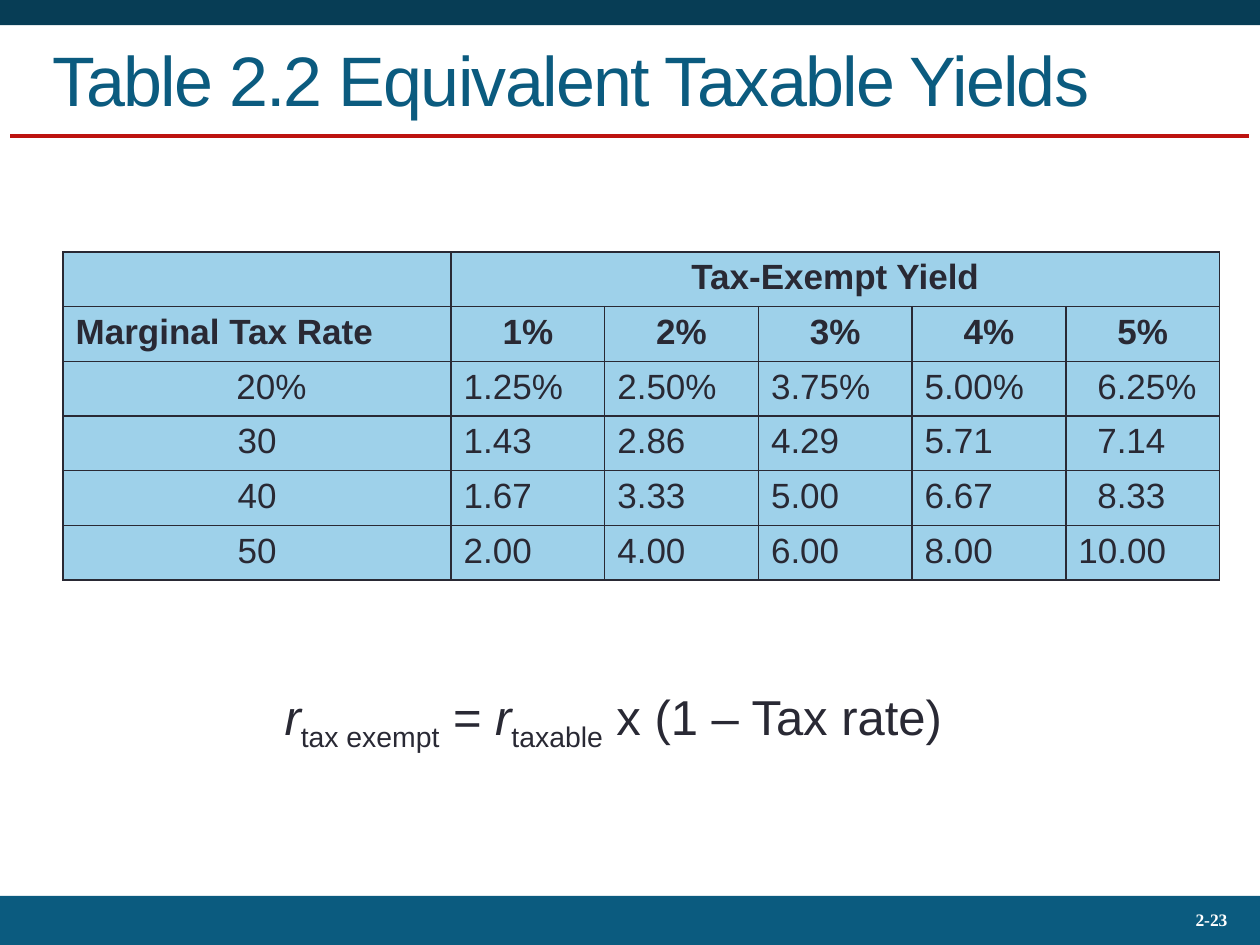
from pptx import Presentation
from pptx.dml.color import RGBColor
from pptx.enum.shapes import MSO_CONNECTOR, MSO_SHAPE
from pptx.enum.text import MSO_ANCHOR, PP_ALIGN
from pptx.oxml import parse_xml
from pptx.oxml.ns import nsdecls
from pptx.util import Inches, Pt

NAVY = RGBColor(0x07, 0x3D, 0x55)
TEAL = RGBColor(0x0B, 0x5B, 0x7F)
RED = RGBColor(0xBD, 0x13, 0x0F)
INK = RGBColor(0x29, 0x29, 0x34)
SKY = RGBColor(0x9E, 0xD1, 0xEA)
WHITE = RGBColor(0xFF, 0xFF, 0xFF)

YIELD_RATES = ["1%", "2%", "3%", "4%", "5%"]
TAXABLE_YIELDS = {
    "20%": ["1.25%", "2.50%", "3.75%", "5.00%", "6.25%"],
    "30": ["1.43", "2.86", "4.29", "5.71", "7.14"],
    "40": ["1.67", "3.33", "5.00", "6.67", "8.33"],
    "50": ["2.00", "4.00", "6.00", "8.00", "10.00"],
}
FORMULA = [("r", "italic"), ("tax exempt", "sub"), (" = ", ""),
           ("r", "italic"), ("taxable", "sub"), (" x (1 – Tax rate)", "")]
DIGIT_INDENT = 0.15  # width of one 20 pt digit in inches
PERCENT_INDENT = 0.23  # width of one 20 pt percent sign, roughly


class SlideBuilder:
    font = "Arial"

    def __init__(self, slide):
        self.slide = slide

    def style(self, paragraph, size, color, bold=False, font=None):
        paragraph.font.name = font or self.font
        paragraph.font.size = Pt(size)
        paragraph.font.bold = bold
        paragraph.font.color.rgb = color

    def band(self, top, height, color):
        band = self.slide.shapes.add_shape(
            MSO_SHAPE.RECTANGLE, 0, Inches(top), Inches(10), Inches(height))
        band.shadow.inherit = False
        band.fill.solid()
        band.fill.fore_color.rgb = color
        band.line.fill.background()

    def rule(self, left, right, y, color, width):
        rule = self.slide.shapes.add_connector(
            MSO_CONNECTOR.STRAIGHT, Inches(left), Inches(y), Inches(right), Inches(y))
        rule.line.color.rgb = color
        rule.line.width = Pt(width)
        rule._element.spPr.append(parse_xml(f"<a:effectLst {nsdecls('a')}/>"))

    def title(self, text, left, top, width, height):
        title = self.slide.shapes.title
        title.left, title.top = Inches(left), Inches(top)
        title.width, title.height = Inches(width), Inches(height)
        frame = title.text_frame
        frame.text = text
        frame.vertical_anchor = MSO_ANCHOR.MIDDLE
        paragraph = frame.paragraphs[0]
        paragraph.alignment = PP_ALIGN.LEFT
        self.style(paragraph, 40, TEAL)
        paragraph.runs[0]._r.get_or_add_rPr().set("spc", "-100")

    def text_frame(self, left, top, width, height):
        frame = self.slide.shapes.add_textbox(
            Inches(left), Inches(top), Inches(width), Inches(height)).text_frame
        frame.word_wrap = True
        return frame

    def page_number(self, text, left, top, width, height):
        frame = self.text_frame(left, top, width, height)
        frame.vertical_anchor = MSO_ANCHOR.MIDDLE
        paragraph = frame.paragraphs[0]
        paragraph.text = text
        paragraph.alignment = PP_ALIGN.RIGHT
        paragraph.line_spacing = 0.93
        self.style(paragraph, 10, WHITE, bold=True, font="Times New Roman")

    def formula(self, parts, left, top, width, height):
        paragraph = self.text_frame(left, top, width, height).paragraphs[0]
        self.style(paragraph, 28, INK)
        for text, kind in parts:
            run = paragraph.add_run()
            run.text = text
            run.font.italic = kind == "italic"
            if kind == "sub":
                run._r.get_or_add_rPr().set("baseline", "-25000")

    def table(self, rows, columns, left, top, width, height):
        table = self.slide.shapes.add_table(
            rows, len(columns), Inches(left), Inches(top),
            Inches(width), Inches(height)).table
        for column, column_width in zip(table.columns, columns):
            column.width = Inches(column_width)
        for cell in table.iter_cells():
            self.border(cell)
            cell.fill.solid()
            cell.fill.fore_color.rgb = SKY
            self.style(cell.text_frame.paragraphs[0], 20, INK)
        return table

    def border(self, cell):
        properties = cell._tc.get_or_add_tcPr()
        for side in ("lnL", "lnR", "lnT", "lnB"):
            properties.append(parse_xml(
                f'<a:{side} {nsdecls("a")} w="12700"><a:solidFill>'
                f'<a:srgbClr val="{INK}"/></a:solidFill></a:{side}>'))

    def cell_text(self, cell, text, centered=False, bold=False, indent=0):
        paragraph = cell.text_frame.paragraphs[0]
        paragraph.text = text
        paragraph.alignment = PP_ALIGN.CENTER if centered else PP_ALIGN.LEFT
        self.style(paragraph, 20, INK, bold)
        cell.margin_left = Inches(0.1 + indent)


def main():
    deck = Presentation()
    deck.slide_width, deck.slide_height = Inches(10), Inches(7.5)
    builder = SlideBuilder(deck.slides.add_slide(deck.slide_layouts[5]))

    builder.band(0, 0.2, NAVY)
    builder.rule(0.08, 9.91, 1.08, RED, 2.25)
    builder.band(7.11, 0.4, TEAL)
    builder.page_number("2-23", 8.67, 7.13, 1.17, 0.36)
    builder.title("Table 2.2 Equivalent Taxable Yields", 0.32, 0.17, 9.37, 0.91)
    builder.formula(FORMULA, 2.16, 5.4, 5.75, 0.57)

    yields = builder.table(2 + len(TAXABLE_YIELDS), [3.08] + [1.22] * 5,
                           0.5, 2, 9.17, 2.6)
    yields.cell(0, 1).merge(yields.cell(0, 5))
    builder.cell_text(yields.cell(0, 1), "Tax-Exempt Yield", centered=True, bold=True)
    builder.cell_text(yields.cell(1, 0), "Marginal Tax Rate", bold=True)
    for column, rate in enumerate(YIELD_RATES, start=1):
        builder.cell_text(yields.cell(1, column), rate, centered=True, bold=True)
    for row, (tax_rate, values) in enumerate(TAXABLE_YIELDS.items(), start=2):
        # Indents line up the digits of the first and last columns
        builder.cell_text(yields.cell(row, 0), tax_rate, centered=True,
                          indent=PERCENT_INDENT if "%" in tax_rate else 0)
        for column, value in enumerate(values, start=1):
            one_digit_last = column == len(values) and value != "10.00"
            builder.cell_text(yields.cell(row, column), value,
                              indent=DIGIT_INDENT if one_digit_last else 0)

    deck.save("out.pptx")


if __name__ == "__main__":
    main()
